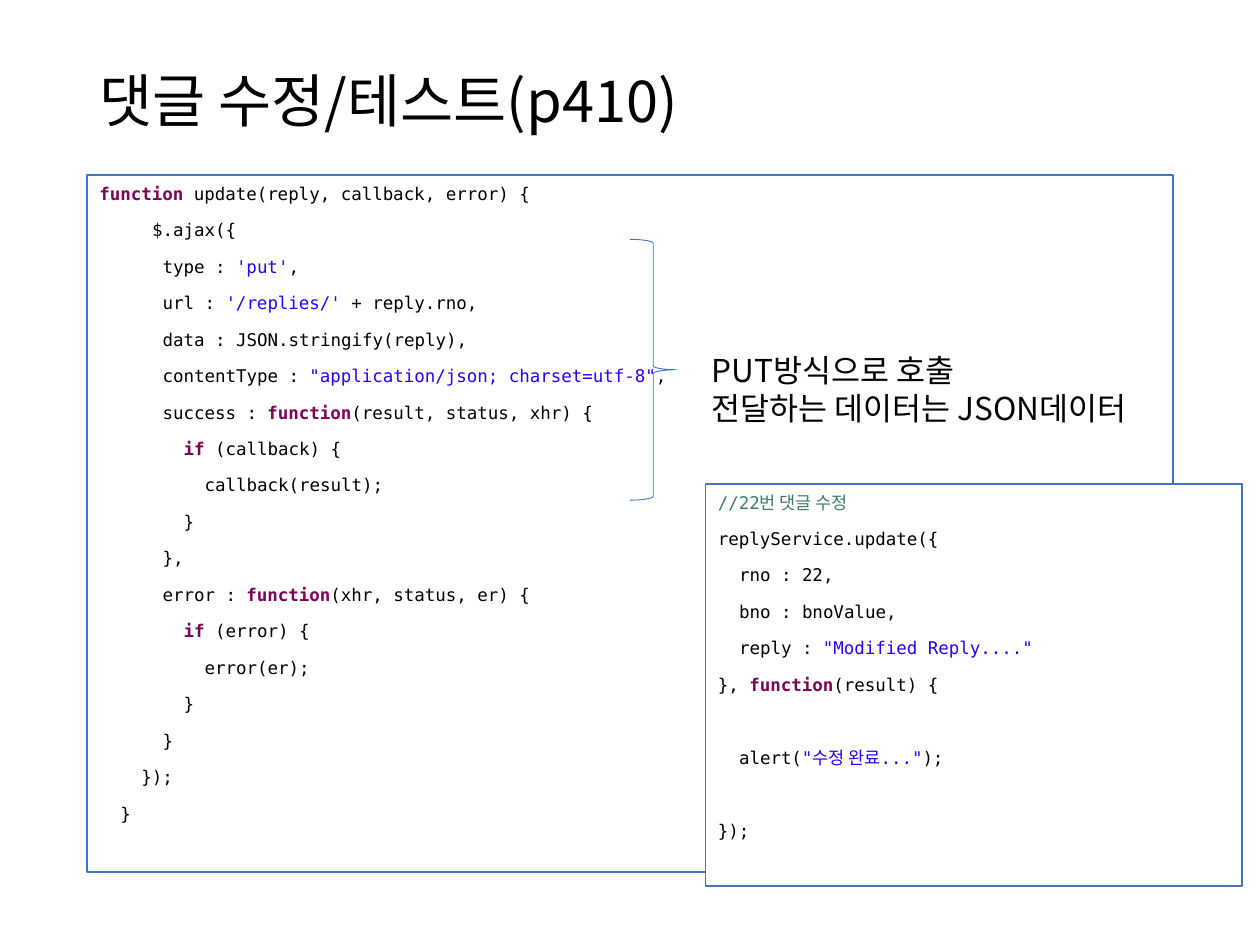
from dataclasses import dataclass

from lxml import etree
from pptx import Presentation
from pptx import util as u
from pptx.dml.color import RGBColor
from pptx.enum import shapes, text
from pptx.oxml import ns


@dataclass(frozen=True)
class Theme:
    ink: str = "000000"
    keyword: str = "7F0055"
    string: str = "2A00FF"
    comment: str = "3F7F5F"
    paper: str = "FFFFFF"
    accent: str = "4472C4"
    sans: str = "Noto Sans CJK KR"
    mono: str = "DejaVu Sans Mono"
    title_size: float = 33
    note_size: float = 18
    code_size: float = 10
    code_column: float = 6.02
    code_gap: float = 8
    code_pitch: float = 20.86


THEME = Theme()

UPDATE_CODE = [
    (0, ("keyword", "function"), ("ink", " update(reply, callback, error) {")),
    (5, ("ink", "$.ajax({")),
    (6, ("ink", "type : "), ("string", "'put'"), ("ink", ",")),
    (6, ("ink", "url : "), ("string", "'/replies/'"), ("ink", " + reply.rno,")),
    (6, ("ink", "data : JSON.stringify(reply),")),
    (6, ("ink", "contentType : "), ("string", '"application/json; charset=utf-8"'), ("ink", ",")),
    (6, ("ink", "success : "), ("keyword", "function"), ("ink", "(result, status, xhr) {")),
    (8, ("keyword", "if"), ("ink", " (callback) {")),
    (10, ("ink", "callback(result);")),
    (8, ("ink", "}")),
    (6, ("ink", "},")),
    (6, ("ink", "error : "), ("keyword", "function"), ("ink", "(xhr, status, er) {")),
    (8, ("keyword", "if"), ("ink", " (error) {")),
    (10, ("ink", "error(er);")),
    (8, ("ink", "}")),
    (6, ("ink", "}")),
    (4, ("ink", "});")),
    (2, ("ink", "}")),
]

TEST_CODE = [
    (0, ("comment", "//22번 댓글 수정")),
    (0, ("ink", "replyService.update({")),
    (2, ("ink", "rno : 22,")),
    (2, ("ink", "bno : bnoValue,")),
    (2, ("ink", "reply : "), ("string", '"Modified Reply...."')),
    (0, ("ink", "}, "), ("keyword", "function"), ("ink", "(result) {")),
    (2, ("ink", "alert("), ("string", '"수정 완료..."'), ("ink", ");")),
    (0, ("ink", "});")),
]


def set_attributes(target, values):
    for name, value in values.items():
        setattr(target, name, value)


def add_run(paragraph, content, size, latin, color, bold=False):
    run = paragraph.add_run()
    run.text = content
    set_attributes(run.font, {"size": u.Pt(size), "name": latin, "bold": bold})
    run.font.color.rgb = RGBColor.from_string(color)
    east_asian = etree.SubElement(run.font._element, ns.qn("a:ea"))
    east_asian.set("typeface", THEME.sans)


def set_frame(shape, anchor):
    set_attributes(shape.text_frame, {
        "word_wrap": True,
        "auto_size": text.MSO_AUTO_SIZE.NONE,
        "vertical_anchor": anchor,
    })
    return shape.text_frame


def next_paragraph(frame, index):
    return frame.add_paragraph() if index else frame.paragraphs[0]


def add_text(slide, box, lines, size, anchor, spacing=1.0):
    frame = set_frame(slide.shapes.add_textbox(*map(u.Inches, box)), anchor)
    for index, line in enumerate(lines):
        paragraph = next_paragraph(frame, index)
        paragraph.line_spacing = spacing
        add_run(paragraph, line, size, THEME.sans, THEME.ink)


def add_outline(slide, kind, box, width):
    shape = slide.shapes.add_shape(kind, *map(u.Inches, box))
    shape.shadow.inherit = False
    shape.line.color.rgb = RGBColor.from_string(THEME.accent)
    shape.line.width = u.Pt(width)
    return shape


def add_code_panel(slide, box, lines, gaps_after=()):
    panel = add_outline(slide, shapes.MSO_SHAPE.RECTANGLE, box, 1)
    panel.fill.solid()
    panel.fill.fore_color.rgb = RGBColor.from_string(THEME.paper)
    frame = set_frame(panel, text.MSO_ANCHOR.TOP)
    for index, (columns, *tokens) in enumerate(lines):
        paragraph = next_paragraph(frame, index)
        extra = THEME.code_pitch if index in gaps_after else 0
        set_attributes(paragraph, {
            "alignment": text.PP_ALIGN.LEFT,
            "line_spacing": 1.07,
            "space_after": u.Pt(THEME.code_gap + extra),
        })
        indent = u.Pt(columns * THEME.code_column)
        paragraph._p.get_or_add_pPr().set("marL", str(int(indent)))
        for role, content in tokens:
            add_run(paragraph, content, THEME.code_size, THEME.mono,
                    getattr(THEME, role), role == "keyword")


def add_brace(slide, box):
    brace = add_outline(slide, shapes.MSO_SHAPE.RIGHT_BRACE, box, 0.5)
    brace.fill.background()


def main():
    presentation = Presentation()
    set_attributes(presentation, {"slide_width": u.Inches(10), "slide_height": u.Inches(7.5)})
    slide = presentation.slides.add_slide(presentation.slide_layouts[6])
    add_text(slide, (0.69, 0.4, 8.62, 0.85), ["댓글 수정/테스트(p410)"],
             THEME.title_size, text.MSO_ANCHOR.MIDDLE, 0.9)
    add_code_panel(slide, (0.69, 1.39, 8.62, 5.53), UPDATE_CODE)
    add_brace(slide, (5, 1.9, 0.37, 2.07))
    add_text(slide, (5.55, 2.74, 3.91, 0.71),
             ["PUT방식으로 호출", "전달하는 데이터는 JSON데이터"],
             THEME.note_size, text.MSO_ANCHOR.TOP)
    add_code_panel(slide, (5.6, 3.84, 4.26, 3.19), TEST_CODE, gaps_after=(5, 6))
    presentation.save("out.pptx")


if __name__ == "__main__":
    main()
